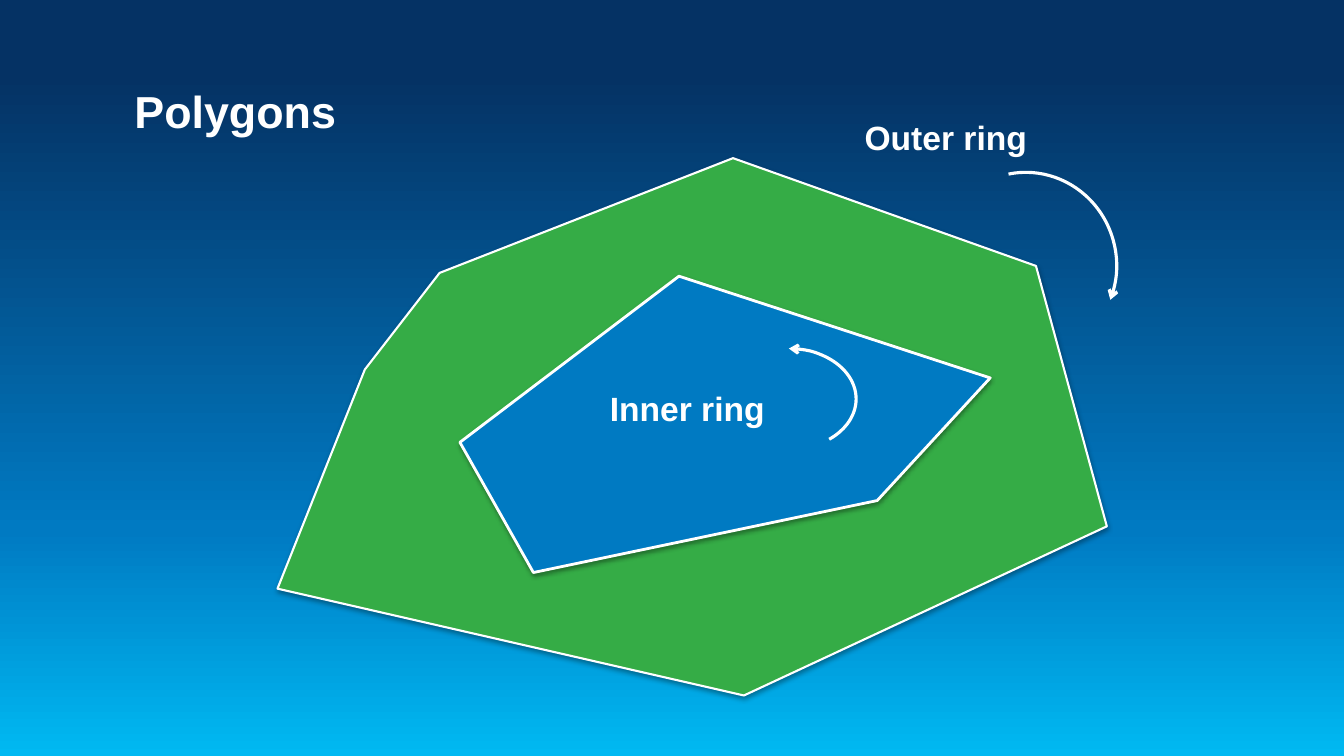
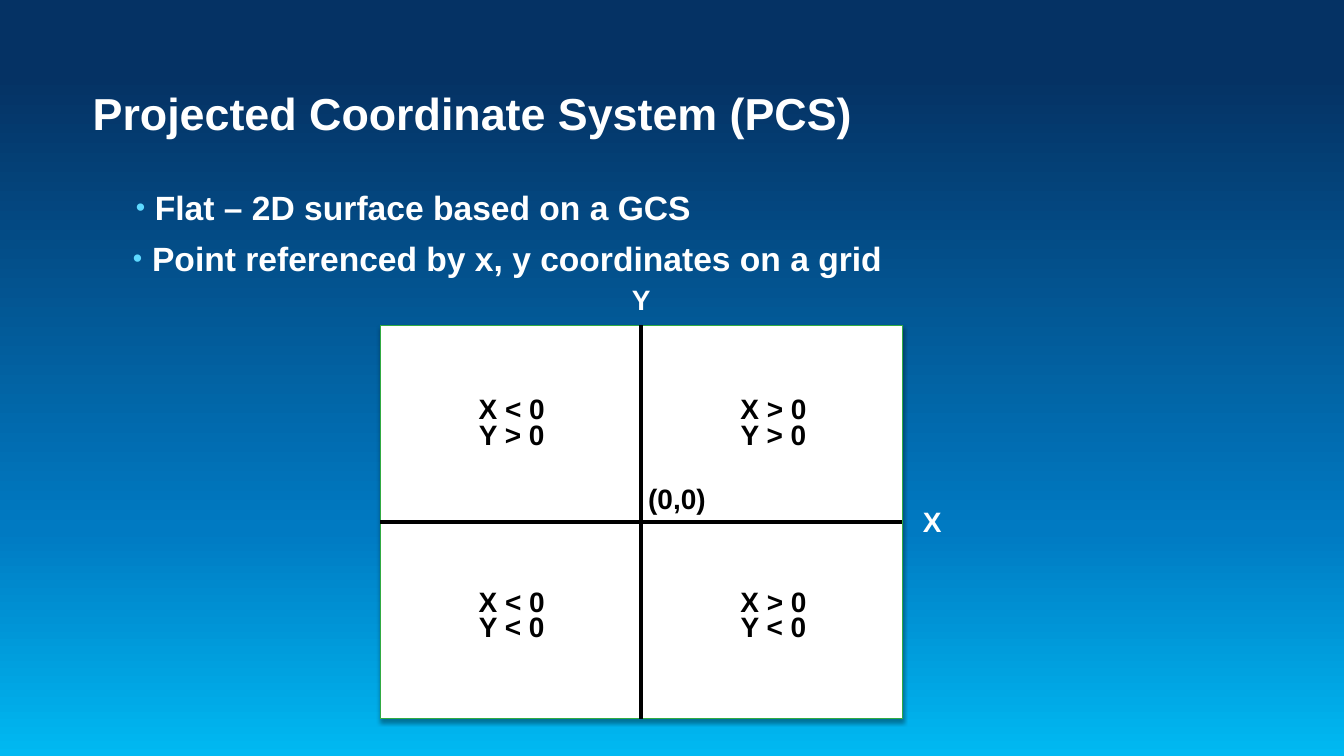
from itertools import product

from lxml.etree import SubElement
from pptx import Presentation
from pptx.dml.color import RGBColor
from pptx.enum.shapes import MSO_CONNECTOR as Connector, MSO_SHAPE as Shape
from pptx.enum.text import PP_ALIGN as Align
from pptx.oxml.ns import qn
from pptx.util import Pt

FONT = "Arial"
WHITE, BLACK = "FFFFFF", "000000"
GREEN, BLUE = "35AC46", "007AC2"
GRID_EDGE, BULLET = "31AB42", "5ED9FF"
SKY = [(0, "00B9F2"), (30, BLUE), (90, "053264")]
BULLET_INDENT = 13.7
LABEL_LEADING = 18


def color(value):
    return RGBColor.from_string(value)


def add_element(parent, tag, **attributes):
    return SubElement(parent, qn(tag), attributes)


def paint_background(master):
    fill = master.background.fill
    fill.gradient()
    fill.gradient_angle = 90
    stops = master.element.find(".//" + qn("a:gsLst"))
    for stop in list(stops):
        stops.remove(stop)
    for position, value in SKY:
        stop = add_element(stops, "a:gs", pos=str(position * 1000))
        add_element(stop, "a:srgbClr", val=value)


def style_line(shape, value, width):
    shape.line.color.rgb = color(value)
    shape.line.width = Pt(width)


def add_shadow(shape):
    shape.shadow.inherit = False
    effects = shape.element.spPr.find(qn("a:effectLst"))
    shadow = add_element(effects, "a:outerShdw", blurRad=str(Pt(3.1)),
                         dist=str(Pt(1.8)), dir="5400000", rotWithShape="0")
    tint = add_element(shadow, "a:srgbClr", val=BLACK)
    add_element(tint, "a:alpha", val="35000")


def style_panel(shape, fill, edge, width):
    shape.fill.solid()
    shape.fill.fore_color.rgb = color(fill)
    style_line(shape, edge, width)
    add_shadow(shape)


def add_text(page, lines, left, top, width, height, size,
             value=WHITE, align=Align.LEFT, leading=None):
    box = page.shapes.add_textbox(Pt(left), Pt(top), Pt(width), Pt(height))
    frame = box.text_frame
    frame.word_wrap = True
    frame.margin_left = frame.margin_right = 0
    frame.margin_top = frame.margin_bottom = 0
    for index, line in enumerate(lines):
        para = frame.add_paragraph() if index else frame.paragraphs[0]
        para.alignment = align
        if leading:
            para.line_spacing = Pt(leading)
        span = para.add_run()
        span.text = line
        span.font.name = FONT
        span.font.size = Pt(size)
        span.font.bold = True
        span.font.color.rgb = color(value)
    return box


def add_title(page, text, left, top):
    add_text(page, [text], left, top, 816, 37, 32)


def add_ring_label(page, text, left, top):
    add_text(page, [text], left, top, 160, 30, 24, leading=LABEL_LEADING)


def add_grid_label(page, lines, left, top, width, value=BLACK, align=Align.CENTER):
    add_text(page, lines, left, top, width, LABEL_LEADING * len(lines), 20,
             value, align, LABEL_LEADING)


def add_bullet(page, text, left, top):
    box = add_text(page, [text], left, top, 800, 28, 24)
    properties = box.text_frame.paragraphs[0]._p.get_or_add_pPr()
    properties.set("marL", str(Pt(BULLET_INDENT)))
    properties.set("indent", str(-Pt(BULLET_INDENT)))
    tint = add_element(properties, "a:buClr")
    add_element(tint, "a:srgbClr", val=BULLET)
    add_element(properties, "a:buSzPct", val="80000")
    add_element(properties, "a:buFont", typeface=FONT)
    add_element(properties, "a:buChar", char="•")


def add_polygon(page, corners, fill, width):
    start, *others = [(Pt(x), Pt(y)) for x, y in corners]
    builder = page.shapes.build_freeform(*start, scale=1.0)
    builder.add_line_segments(others, close=True)
    style_panel(builder.convert_to_shape(), fill, WHITE, width)


def add_arc_arrow(page, left, top, width, height, end_angle, arrow_end, rotation=0):
    arc = page.shapes.add_shape(Shape.ARC, Pt(left), Pt(top), Pt(width), Pt(height))
    for index, angle in enumerate((270, end_angle)):
        arc.adjustments[index] = angle * 0.6
    arc.rotation = rotation
    arc.fill.background()
    arc.shadow.inherit = False
    style_line(arc, WHITE, 2.25)
    add_element(arc.element.spPr.find(qn("a:ln")), arrow_end, type="arrow")


def add_axis(page, x1, y1, x2, y2):
    axis = page.shapes.add_connector(Connector.STRAIGHT, Pt(x1), Pt(y1), Pt(x2), Pt(y2))
    style_line(axis, BLACK, 2.5)
    add_element(axis.element.spPr, "a:effectLst")


def add_quadrants(page, left, top, width, height):
    middle_x, middle_y = left + width / 2, top + height / 2
    grid = page.shapes.add_shape(Shape.RECTANGLE, Pt(left), Pt(top), Pt(width), Pt(height))
    style_panel(grid, WHITE, GRID_EDGE, 0.75)
    add_axis(page, left, middle_y, left + width, middle_y)
    add_axis(page, middle_x, top, middle_x, top + height)
    add_grid_label(page, ["X"], left + width + 6.5, middle_y - 6.5, 30, WHITE)
    add_grid_label(page, ["Y"], middle_x - 15, top - 24.5, 30, WHITE)
    add_grid_label(page, ["(0,0)"], middle_x + 5, middle_y - 23, 53, align=Align.LEFT)
    columns = [("<", left + 57.5), (">", left + 244.5)]
    rows = [(">", top + 53.5), ("<", top + 191)]
    for (x_sign, x), (y_sign, y) in product(columns, rows):
        add_grid_label(page, [f"X {x_sign} 0", f"Y {y_sign} 0"], x, y, 73)


def build_polygons(page):
    outer = [(314, 195), (523.6, 113), (740, 190), (790.6, 376),
             (531.4, 496.8), (198.2, 420.5), (260.6, 264)]
    inner = [(328.5, 316), (485, 197.3), (707.3, 270), (626.6, 357.6), (381, 409)]
    add_polygon(page, outer, GREEN, 1.5)
    add_title(page, "Polygons", 96, 60)
    add_polygon(page, inner, BLUE, 2)
    add_ring_label(page, "Inner ring", 435.6, 288)
    add_arc_arrow(page, 515.5, 249, 96, 72, 45, "a:headEnd")
    add_ring_label(page, "Outer ring", 617.6, 94.3)
    add_arc_arrow(page, 669.6, 123, 128, 132, 34.4, "a:tailEnd", rotation=348.5)


def build_coordinates(page):
    add_title(page, "Projected Coordinate System (PCS)", 66.2, 61)
    add_bullet(page, "Flat – 2D surface based on a GCS", 97, 133.5)
    add_bullet(page, "Point referenced by x, y coordinates on a grid", 95, 170)
    add_quadrants(page, 271.5, 232.5, 373, 281)


def main():
    deck = Presentation()
    deck.slide_width, deck.slide_height = Pt(960), Pt(540)
    paint_background(deck.slide_master)
    for build in (build_polygons, build_coordinates):
        build(deck.slides.add_slide(deck.slide_layouts[6]))
    deck.save("out.pptx")


if __name__ == "__main__":
    main()
